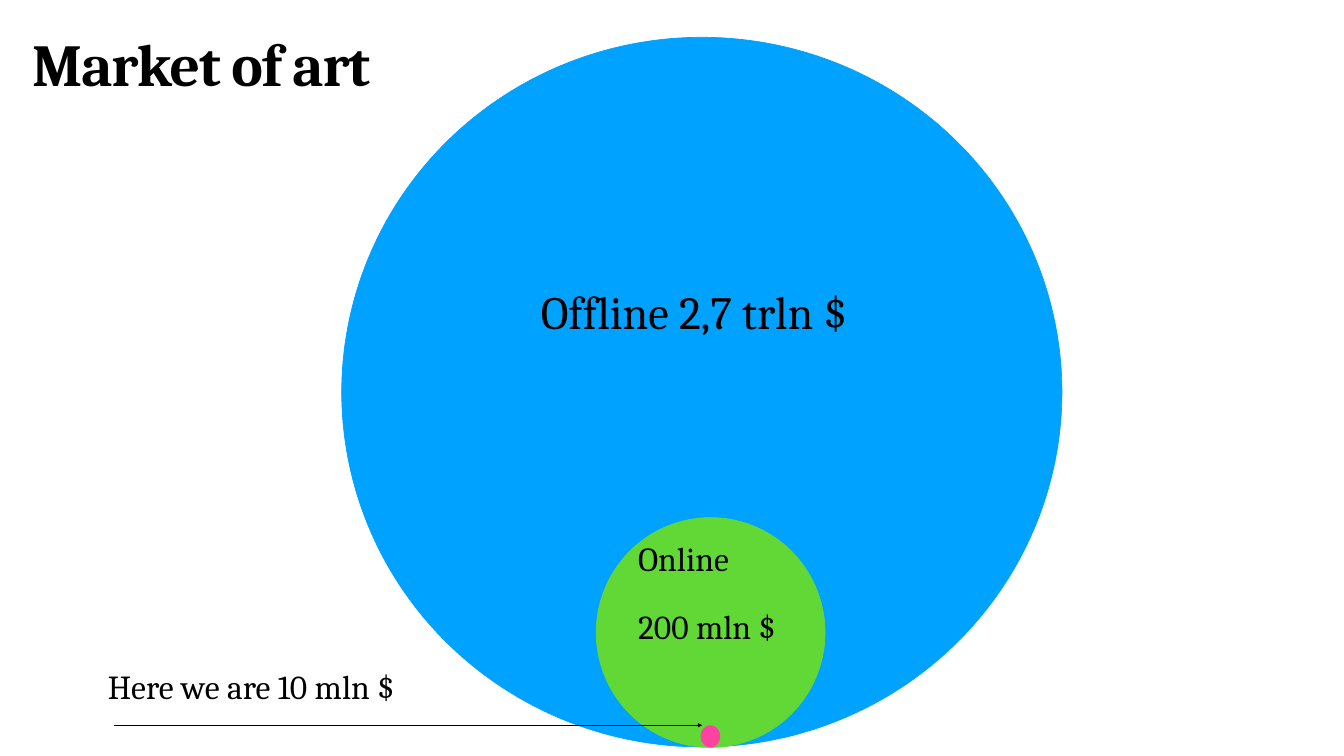
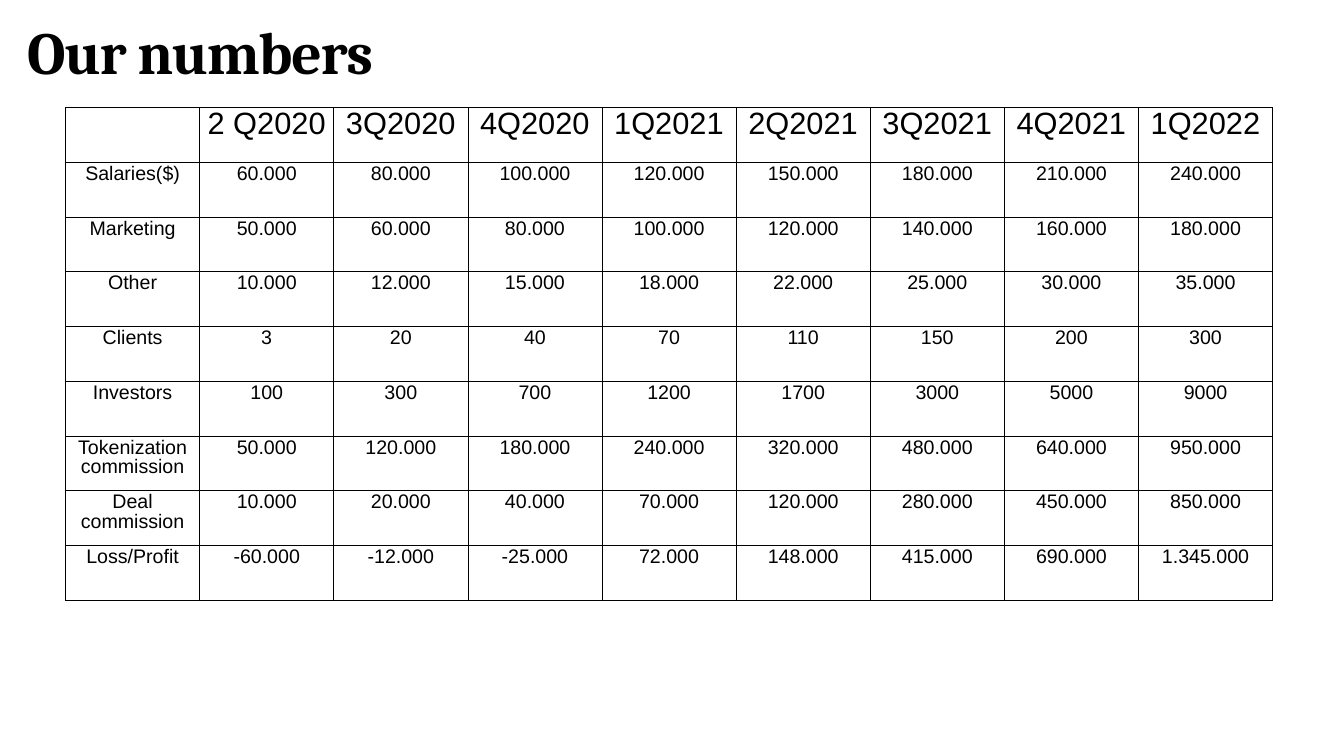
"""Build two pitch slides: the art market and the quarterly numbers."""
from dataclasses import dataclass

from lxml import etree
from pptx import Presentation
from pptx.dml.color import RGBColor
from pptx.enum.shapes import MSO_CONNECTOR, MSO_SHAPE
from pptx.enum.text import MSO_ANCHOR, MSO_AUTO_SIZE, PP_ALIGN
from pptx.oxml.ns import qn
from pptx.util import Pt

OVAL, LINE = MSO_SHAPE.OVAL, MSO_CONNECTOR.STRAIGHT
LEFT, MID = PP_ALIGN.LEFT, PP_ALIGN.CENTER
TOP, CENTER = MSO_ANCHOR.TOP, MSO_ANCHOR.MIDDLE
FIXED, GROW = MSO_AUTO_SIZE.NONE, MSO_AUTO_SIZE.SHAPE_TO_FIT_TEXT


@dataclass(frozen=True)
class Theme:
    """Colours, fonts and type sizes in points."""
    ink: str = "000000"
    blue: str = "00A2FF"
    green: str = "61D836"
    pink: str = "FF42A1"
    serif: str = "Cambria"
    sans: str = "Arial"
    title: int = 85
    big: int = 66
    label: int = 48
    head: int = 44
    body: int = 28
    inset: float = 4.32


THEME = Theme()
WIDTH, HEIGHT = 1920, 1080
TITLE_SIZE = (612, 116)

MARKET = ("Market of art", (41.76, 53.28))
RINGS = [
    ((488.16, 53.28, 1028.88, 1013.76), THEME.blue, 1),
    ((851.76, 739.44, 326.88, 328.32), THEME.green, 1),
    ((1000.8, 1036.08, 28.08, 31.68), THEME.pink, 0),
]
LABELS = [
    (["Offline 2,7 trln $"], (768.24, 387.36, 468.72, 125.28), THEME.big),
    (["Online", "200 mln $"], (907.2, 747.36, 215.28, 203.76), THEME.label),
    (["Here we are 10 mln $"], (149.76, 930.24, 460.08, 105.84), THEME.label),
]
ARROW = (163.44, 1036.08, 1002.96, 1036.08)

NUMBERS = ("Our numbers", (34.56, 37.44))
GRID = (93.6, 153.36, 1724.4, 704.16)
ROWS = [
    ["", "2 Q2020", "3Q2020", "4Q2020", "1Q2021", "2Q2021", "3Q2021", "4Q2021", "1Q2022"],
    ["Salaries($)", "60.000", "80.000", "100.000", "120.000", "150.000", "180.000", "210.000", "240.000"],
    ["Marketing", "50.000", "60.000", "80.000", "100.000", "120.000", "140.000", "160.000", "180.000"],
    ["Other", "10.000", "12.000", "15.000", "18.000", "22.000", "25.000", "30.000", "35.000"],
    ["Clients", "3", "20", "40", "70", "110", "150", "200", "300"],
    ["Investors", "100", "300", "700", "1200", "1700", "3000", "5000", "9000"],
    ["Tokenization commission", "50.000", "120.000", "180.000", "240.000", "320.000", "480.000", "640.000", "950.000"],
    ["Deal commission", "10.000", "20.000", "40.000", "70.000", "120.000", "280.000", "450.000", "850.000"],
    ["Loss/Profit", "-60.000", "-12.000", "-25.000", "72.000", "148.000", "415.000", "690.000", "1.345.000"],
]


def pts(vals):
    """Turn numbers into point lengths."""
    return [Pt(val) for val in vals]


def color(code):
    """Turn a hex code into a colour."""
    return RGBColor.from_string(code)


def write(frame, lines, size, font=THEME.serif, bold=False, align=LEFT, lead=0.9, before=45, track=0):
    """Fill a text frame with one paragraph a line."""
    for num, line in enumerate(lines):
        para = frame.add_paragraph() if num else frame.paragraphs[0]
        para.alignment, para.line_spacing, para.space_before = align, lead, Pt(before)
        run = para.add_run()
        run.text = line
        run.font.name, run.font.size, run.font.bold = font, Pt(size), bold
        run.font.color.rgb = color(THEME.ink)
        if track:
            run.font._element.set("spc", str(round(track * 100)))


def fit(frame, anchor, wrap, mode):
    """Set the insets, anchor and wrapping of a text frame."""
    frame.margin_left = frame.margin_right = Pt(THEME.inset)
    frame.margin_top = frame.margin_bottom = Pt(THEME.inset)
    frame.vertical_anchor, frame.word_wrap, frame.auto_size = anchor, wrap, mode


def start(deck, text, spot):
    """Add a slide with its title."""
    slide = deck.slides.add_slide(deck.slide_layouts[5])
    title = slide.shapes.title
    title.left, title.top, title.width, title.height = pts(spot + TITLE_SIZE)
    fit(title.text_frame, TOP, True, FIXED)
    write(title.text_frame, [text], THEME.title, bold=True, lead=0.8, before=0, track=-1.7)
    return slide


def ring(slide, box, fill, width):
    """Draw a filled circle."""
    shape = slide.shapes.add_shape(OVAL, *pts(box))
    shape.shadow.inherit = False
    shape.fill.solid()
    shape.fill.fore_color.rgb = color(fill)
    if width:
        shape.line.color.rgb, shape.line.width = color(fill), Pt(width)
    else:
        shape.line.fill.background()


def arrow(slide, ends):
    """Draw a line with an arrowhead at its end."""
    link = slide.shapes.add_connector(LINE, *pts(ends))
    link.line.color.rgb, link.line.width = color(THEME.ink), Pt(2)
    etree.SubElement(link.line._get_or_add_ln(), qn("a:tailEnd"), type="triangle")
    etree.SubElement(link._element.spPr, qn("a:effectLst"))


def border(cell):
    """Give a cell a thin line on every side."""
    props = cell._tc.get_or_add_tcPr()
    for num, side in enumerate("LRTB"):
        edge = etree.Element(qn(f"a:ln{side}"), w=str(Pt(1)))
        fill = etree.SubElement(edge, qn("a:solidFill"))
        etree.SubElement(fill, qn("a:srgbClr"), val=THEME.ink)
        props.insert(num, edge)


def grid(slide, rows, box):
    """Draw the table with equal rows and columns."""
    table = slide.shapes.add_table(len(rows), len(rows[0]), *pts(box)).table
    table.first_row = table.horz_banding = False
    for col in table.columns:
        col.width = Pt(box[2] / len(rows[0]))
    for num, row in enumerate(rows):
        table.rows[num].height = Pt(box[3] / len(rows))
        for pos, text in enumerate(row):
            cell = table.cell(num, pos)
            cell.fill.background()
            border(cell)
            if text:
                size = THEME.body if num else THEME.head
                write(cell.text_frame, [text], size, font=THEME.sans, align=MID)


def main():
    """Build and save the deck."""
    deck = Presentation()
    deck.slide_width, deck.slide_height = pts((WIDTH, HEIGHT))
    slide = start(deck, *MARKET)
    for item in RINGS:
        ring(slide, *item)
    for lines, box, size in LABELS:
        frame = slide.shapes.add_textbox(*pts(box)).text_frame
        fit(frame, CENTER, False, GROW)
        write(frame, lines, size)
    arrow(slide, ARROW)
    grid(start(deck, *NUMBERS), ROWS, GRID)
    deck.save("out.pptx")


if __name__ == "__main__":
    main()
